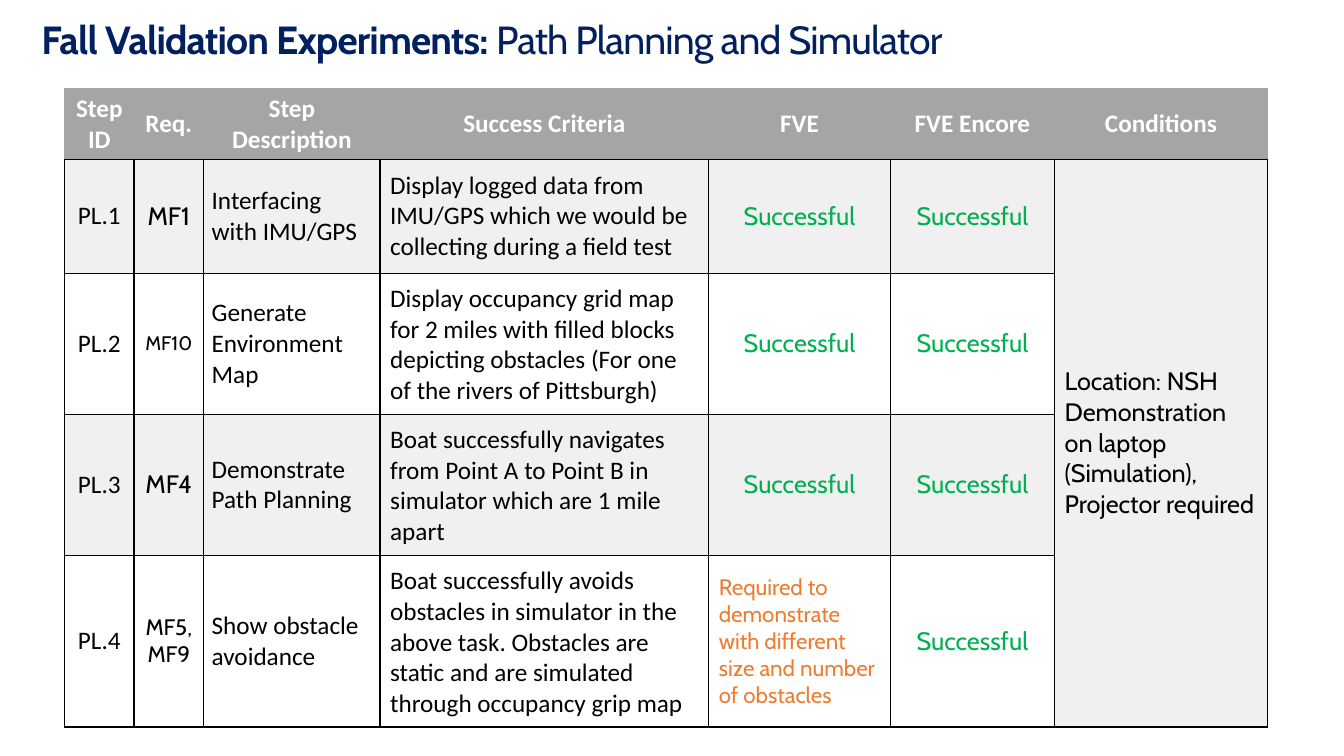
from dataclasses import dataclass

from lxml import etree
from pptx import Presentation
from pptx.dml.color import RGBColor
from pptx.enum.text import MSO_ANCHOR, PP_ALIGN
from pptx.oxml.ns import qn
from pptx.util import Inches, Pt

CENTER, LEFT = PP_ALIGN.CENTER, PP_ALIGN.LEFT
MIDDLE = MSO_ANCHOR.MIDDLE


@dataclass(frozen=True)
class Theme:
    heading_font: str = "Cabin"
    body_font: str = "Calibri"
    navy: str = "002060"
    black: str = "000000"
    white: str = "FFFFFF"
    gray: str = "A5A5A5"
    band: str = "F0F0F0"
    green: str = "00B050"
    orange: str = "ED7D31"
    title_size: int = 28
    body_size: int = 18
    note_size: int = 16
    small_size: int = 14


THEME = Theme()


@dataclass(frozen=True)
class Entry:
    text: str
    font: str = THEME.body_font
    size: int = THEME.body_size
    color: str = THEME.black
    align: PP_ALIGN = LEFT
    bold: bool = False


@dataclass(frozen=True)
class Margins:
    side: float
    vertical: float


HEADER_MARGINS = Margins(0.1, 0.05)
NARROW_MARGINS = Margins(0.08, 0.07)
WIDE_MARGINS = Margins(0.1, 0.1)
NARROW_COLUMNS = 3

COLUMN_WIDTHS = (0.69, 0.69, 1.75, 3.26, 1.8, 1.63, 2.11)
ROW_HEIGHTS = (0.62, 1.13, 1.27, 1.24, 1.66)
HEADINGS = ("Step ID", "Req.", "Step Description", "Success Criteria",
            "FVE", "FVE Encore", "Conditions")


def heading(text: str) -> Entry:
    return Entry(text, color=THEME.white, align=CENTER, bold=True)


def step(text: str) -> Entry:
    return Entry(text, align=CENTER)


def requirement(text: str, size: int = THEME.body_size) -> Entry:
    return Entry(text, THEME.heading_font, size, align=CENTER)


SUCCESS = Entry("Successful", THEME.heading_font, color=THEME.green, align=CENTER)
REPEAT = Entry("Required to demonstrate with different size and number of obstacles",
               THEME.heading_font, THEME.note_size, THEME.orange)
CONDITIONS = Entry(
    "Location: NSH\nDemonstration on laptop (Simulation), Projector required",
    THEME.heading_font)
EMPTY = Entry("")

ROWS = (
    tuple(heading(text) for text in HEADINGS),
    (step("PL.1"), requirement("MF1"), Entry("Interfacing with IMU/GPS"),
     Entry("Display logged data from IMU/GPS which we would be collecting "
           "during a field test"), SUCCESS, SUCCESS, CONDITIONS),
    (step("PL.2"), requirement("MF10", THEME.small_size),
     Entry("Generate Environment Map"),
     Entry("Display occupancy grid map for 2 miles with filled blocks depicting "
           "obstacles (For one of the rivers of Pittsburgh)"),
     SUCCESS, SUCCESS, EMPTY),
    (step("PL.3"), requirement("MF4"), Entry("Demonstrate Path Planning"),
     Entry("Boat successfully navigates from Point A to Point B in simulator "
           "which are 1 mile apart"), SUCCESS, SUCCESS, EMPTY),
    (step("PL.4"), requirement("MF5,MF9", THEME.note_size),
     Entry("Show obstacle avoidance"),
     Entry("Boat successfully avoids obstacles in simulator in the above task. "
           "Obstacles are static and are simulated through occupancy grip map"),
     REPEAT, SUCCESS, EMPTY),
)


def style_font(font, name: str, size: int, color: str) -> None:
    font.name = name
    font.size = Pt(size)
    font.color.rgb = RGBColor.from_string(color)


def add_title(page) -> None:
    box = page.shapes.add_textbox(Inches(-0.19), Inches(0), Inches(13.33), Inches(0.71))
    frame = box.text_frame
    frame.word_wrap = True
    frame.vertical_anchor = MIDDLE
    frame.margin_left, frame.margin_top = Inches(0.6), Inches(0.17)
    frame.margin_right = frame.margin_bottom = Inches(0.06)
    para = frame.paragraphs[0]
    para.line_spacing = 0.9
    style_font(para.font, THEME.heading_font, THEME.title_size, THEME.navy)
    for text, bold in (("Fall Validation Experiments: ", True),
                       ("Path Planning and Simulator", False)):
        span = para.add_run()
        span.text = text
        span.font.bold = bold
        span.font._element.set("spc", "-60")


def set_borders(cell, side_color: str, top_color: str) -> None:
    colors = {"a:lnL": side_color, "a:lnR": side_color,
              "a:lnT": top_color, "a:lnB": THEME.black}
    properties = cell._tc.get_or_add_tcPr()
    for tag, color in colors.items():
        line = etree.SubElement(properties, qn(tag), w=str(Pt(1)))
        fill = etree.SubElement(line, qn("a:solidFill"))
        etree.SubElement(fill, qn("a:srgbClr"), val=color)


def fill_cell(cell, entry: Entry, fill: str, margins: Margins) -> None:
    cell.fill.solid()
    cell.fill.fore_color.rgb = RGBColor.from_string(fill)
    cell.vertical_anchor = MIDDLE
    cell.margin_left = cell.margin_right = Inches(margins.side)
    cell.margin_top = cell.margin_bottom = Inches(margins.vertical)
    cell.text_frame.text = entry.text
    for para in cell.text_frame.paragraphs:
        para.alignment = entry.align
        style_font(para.font, entry.font, entry.size, entry.color)
        para.font.bold = entry.bold


def add_results(page) -> None:
    table = page.shapes.add_table(
        len(ROWS), len(HEADINGS), Inches(0.64), Inches(0.88),
        Inches(sum(COLUMN_WIDTHS)), Inches(sum(ROW_HEIGHTS))).table
    table.first_row = table.horz_banding = False
    for column, width in zip(table.columns, COLUMN_WIDTHS):
        column.width = Inches(width)
    for row, height in zip(table.rows, ROW_HEIGHTS):
        row.height = Inches(height)
    for row_index, entries in enumerate(ROWS):
        is_header = row_index == 0
        band = THEME.band if row_index % 2 else THEME.white
        edge = THEME.gray if is_header else THEME.black
        for column_index, entry in enumerate(entries):
            cell = table.cell(row_index, column_index)
            set_borders(cell, edge, edge)
            body_margins = NARROW_MARGINS if column_index < NARROW_COLUMNS else WIDE_MARGINS
            fill_cell(cell, entry, THEME.gray if is_header else band,
                      HEADER_MARGINS if is_header else body_margins)
    last_column = len(HEADINGS) - 1
    table.cell(1, last_column).merge(table.cell(len(ROWS) - 1, last_column))


def main() -> None:
    deck = Presentation()
    deck.slide_width, deck.slide_height = Inches(13.33), Inches(7.5)
    page = deck.slides.add_slide(deck.slide_layouts[6])
    add_title(page)
    add_results(page)
    deck.save("out.pptx")


if __name__ == "__main__":
    main()
